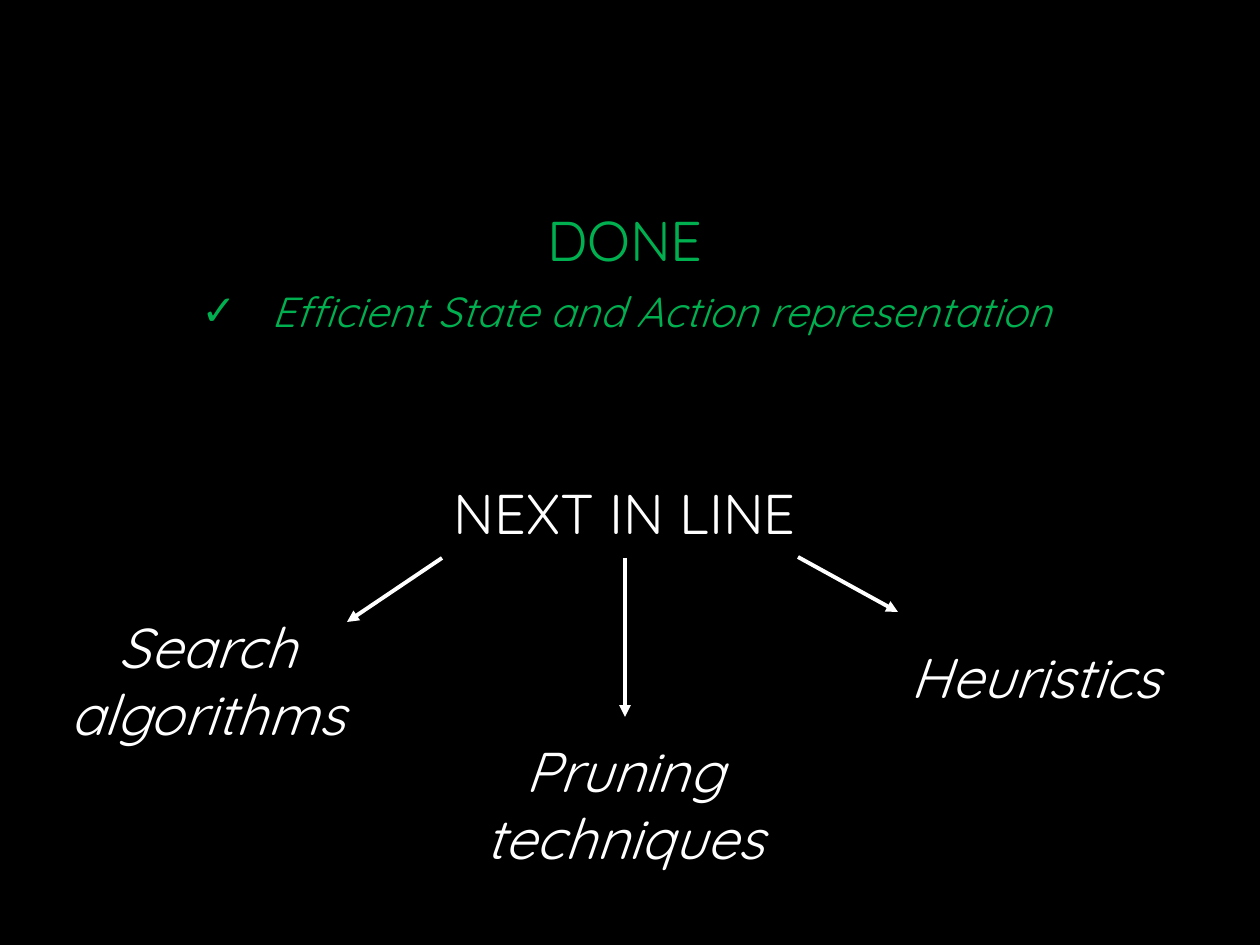
import pptx
import pptx.util
import pptx.dml.color
import pptx.enum.text
import pptx.enum.shapes
import pptx.oxml.ns
import lxml.etree
from dataclasses import dataclass


@dataclass
class Theme:
    font: str = "Quicksand"
    back: str = "000000"
    done: str = "00B050"
    next: str = "FFFFFF"
    big: int = 32
    small: int = 24
    line: float = 2.25


theme = Theme()
px = pptx.util.Inches(1) / 126
color = pptx.dml.color.RGBColor.from_string
mid = pptx.enum.text.PP_ALIGN.CENTER
qn = pptx.oxml.ns.qn


def place(shape, *box):
    shape.left, shape.top, shape.width, shape.height = [int(v * px) for v in box]


def style(para, size, ink, slant=False):
    para.alignment = mid
    for run in para.runs:
        run.font.name = theme.font
        run.font.size = pptx.util.Pt(size)
        run.font.italic = slant
        run.font.color.rgb = color(ink)


deck = pptx.Presentation()
deck.slide_width = int(1260 * px)
deck.slide_height = int(945 * px)
slide = deck.slides.add_slide(deck.slide_layouts[1])
slide.background.fill.solid()
slide.background.fill.fore_color.rgb = color(theme.back)
title, body = slide.placeholders
title.element.getparent().remove(title.element)

# Finished work
place(body, 77, 207, 1096, 160)
frame = body.text_frame
frame.text = "DONE\nEfficient State and Action representation"
head, item = frame.paragraphs
style(head, theme.big, theme.done)
style(item, theme.small, theme.done, True)
for para, mark in ((head, None), (item, "\u2713")):
    para.line_spacing = 0.9
    para.space_before = pptx.util.Pt(10)
    props = para._p.get_or_add_pPr()
    props.set("marL", str(int(72 * px) if mark else 0))
    props.set("indent", str(int(-70 * px) if mark else 0))
    bullet = lxml.etree.SubElement(props, qn("a:buChar" if mark else "a:buNone"))
    if mark:
        bullet.set("char", mark)

# Heading of the next steps
box = slide.shapes.add_textbox(0, 0, 0, 0)
place(box, 77, 414, 1096, 339)
frame = box.text_frame
frame.word_wrap = True
frame.margin_top = int(72 * px)
frame.text = "NEXT IN LINE"
style(frame.paragraphs[0], theme.big, theme.next)
frame.paragraphs[0].line_spacing = 0.9

# Next steps, each with its arrow
steps = [
    ("Search\nalgorithms", (54, 606, 307, 149), (442, 558, 347, 622)),
    ("Pruning\ntechniques", (460, 730, 330, 149), (625, 558, 625, 717)),
    ("Heuristics", (898, 636, 275, 81), (798, 557, 898, 612)),
]
for text, spot, ends in steps:
    box = slide.shapes.add_textbox(0, 0, 0, 0)
    place(box, *spot)
    frame = box.text_frame
    frame.word_wrap = False
    frame.text = text
    for para in frame.paragraphs:
        style(para, theme.big, theme.next, True)

    arrow = slide.shapes.add_connector(
        pptx.enum.shapes.MSO_CONNECTOR.STRAIGHT, *[int(v * px) for v in ends])
    arrow.line.color.rgb = color(theme.next)
    arrow.line.width = pptx.util.Pt(theme.line)
    props = arrow.element.find(qn("p:spPr"))
    tip = lxml.etree.SubElement(props.find(qn("a:ln")), qn("a:tailEnd"))
    tip.set("type", "triangle")
    lxml.etree.SubElement(props, qn("a:effectLst"))

deck.save("out.pptx")
